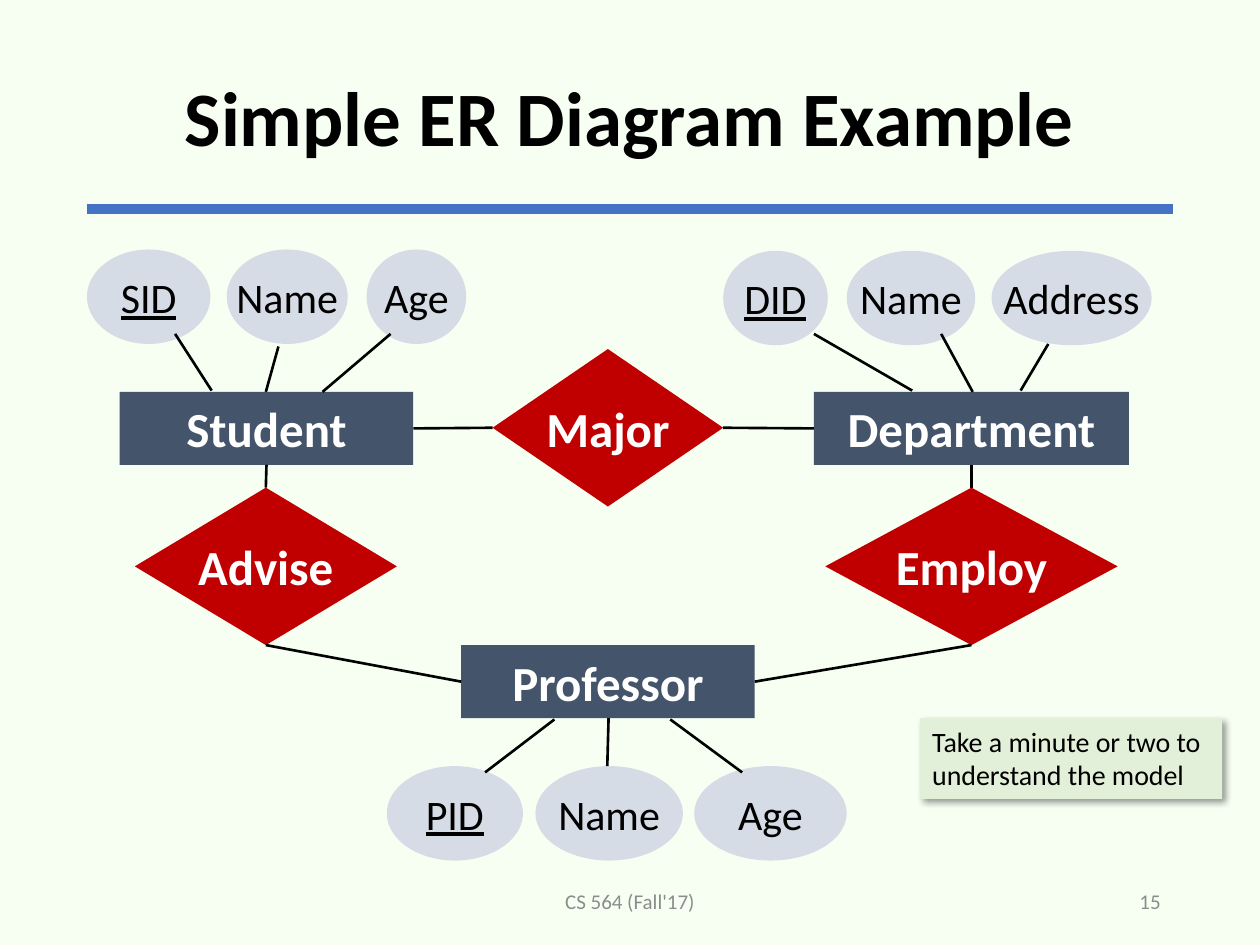
from lxml import etree
from pptx import Presentation
from pptx.dml.color import RGBColor
from pptx.enum.shapes import MSO_CONNECTOR, MSO_SHAPE
from pptx.enum.text import MSO_ANCHOR, PP_ALIGN
from pptx.oxml.ns import qn
from pptx.util import Inches, Pt

RECT, OVAL, DIAMOND = MSO_SHAPE.RECTANGLE, MSO_SHAPE.OVAL, MSO_SHAPE.DIAMOND
STRAIGHT = MSO_CONNECTOR.STRAIGHT
LEFT, CENTER, RIGHT = PP_ALIGN.LEFT, PP_ALIGN.CENTER, PP_ALIGN.RIGHT
TOP, MIDDLE = MSO_ANCHOR.TOP, MSO_ANCHOR.MIDDLE
SITES = {"top": 0, "left": 1, "bottom": 2, "right": 3}

THEME = {
    "font": "Calibri", "back": "F7FFF3", "rule": "4472C4", "ink": "000000",
    "entity": "44546A", "relation": "C00000", "attribute": "D6DCE5",
    "note": "E2F0D9", "light": "FFFFFF", "muted": "8C8C8C",
    "title_pt": 44, "node_pt": 28, "attr_pt": 24, "note_pt": 16, "foot_pt": 12,
}

TITLE = "Simple ER Diagram Example"
NOTE = "Take a minute or two to understand the model"
FOOTER = [("CS 564 (Fall'17)", 3.31, 3.38, CENTER), ("15", 7.06, 2.25, RIGHT)]

# name: left, top, width
ENTITIES = {
    "Student": (0.95, 3.11, 2.33),
    "Department": (6.46, 3.11, 2.5),
    "Professor": (3.66, 5.12, 2.33),
}
RELATIONS = {
    "Major": (3.91, 2.77, 1.83),
    "Advise": (1.07, 3.87, 2.08),
    "Employ": (6.55, 3.87, 2.32),
}
ENTITY_H, RELATION_H, ATTR_H = 0.58, 1.25, 0.75

# top of each row, then name, left, width, line start and end; the key is first
ATTRIBUTES = [
    (1.98, [("SID", 0.69, 0.98, (1.39, 2.65), (1.68, 3.1)),
            ("Name", 1.8, 0.96, (2.21, 2.75), (2.11, 3.11)),
            ("Age", 2.91, 0.79, (3.1, 2.65), (2.56, 3.11))]),
    (1.99, [("DID", 5.74, 0.83, (6.46, 2.65), (7.24, 3.1)),
            ("Name", 6.72, 1.02, (7.47, 2.65), (7.72, 3.11)),
            ("Address", 7.87, 1.27, (8.32, 2.73), (8.1, 3.1))]),
    (6.08, [("PID", 3.07, 1.08, (3.85, 6.13), (4.4, 5.71)),
            ("Name", 4.25, 1.17, (4.82, 6.08), (4.83, 5.7)),
            ("Age", 5.51, 1.21, (5.89, 6.13), (5.32, 5.71))]),
]
LINKS = [
    ("Student", "right", "Major", "left"),
    ("Department", "left", "Major", "right"),
    ("Student", "bottom", "Advise", "top"),
    ("Department", "bottom", "Employ", "top"),
    ("Professor", "left", "Advise", "bottom"),
    ("Professor", "right", "Employ", "bottom"),
]


def color(name):
    return RGBColor.from_string(THEME[name])


def write(shape, text, size, ink="ink", bold=False, align=CENTER,
          anchor=MIDDLE, wrap=True):
    frame = shape.text_frame
    frame.text = text
    frame.word_wrap = wrap
    frame.vertical_anchor = anchor
    para = frame.paragraphs[0]
    para.alignment = align
    font = para.runs[0].font
    font.name, font.size, font.bold = THEME["font"], Pt(THEME[size]), bold
    font.color.rgb = color(ink)
    return para


def block(slide, kind, box, fill):
    shape = slide.shapes.add_shape(kind, *map(Inches, box))
    shape.shadow.inherit = False
    shape.fill.solid()
    shape.fill.fore_color.rgb = color(fill)
    shape.line.fill.background()
    return shape


def join(slide, start=(0, 0), end=(0, 0), ink="ink", width=1.5):
    line = slide.shapes.add_connector(STRAIGHT, *map(Inches, start + end))
    line.line.color.rgb = color(ink)
    line.line.width = Pt(width)
    etree.SubElement(line._element.spPr, qn("a:effectLst"))
    return line


def drop_shadow(shape):
    effects = shape._element.spPr.find(qn("a:effectLst"))
    outer = etree.SubElement(effects, qn("a:outerShdw"), blurRad=str(Pt(4)),
                             dist=str(Pt(3)), dir="2700000", algn="tl")
    tint = etree.SubElement(outer, qn("a:srgbClr"), val=THEME["ink"])
    etree.SubElement(tint, qn("a:alpha"), val="40000")


def frame_slide(slide):
    slide.background.fill.solid()
    slide.background.fill.fore_color.rgb = color("back")
    join(slide, (0.69, 1.66), (9.31, 1.66), "rule", 6)
    title = slide.shapes.title
    title.left, title.top = Inches(0.69), Inches(0.24)
    title.width, title.height = Inches(8.62), Inches(1.45)
    write(title, TITLE, "title_pt", bold=True).line_spacing = 0.9
    for text, left, width, align in FOOTER:
        box = slide.shapes.add_textbox(*map(Inches, (left, 6.95, width, 0.4)))
        write(box, text, "foot_pt", "muted", align=align)


def draw_model(slide):
    nodes = {}
    for group, kind, height, fill in (
            (ENTITIES, RECT, ENTITY_H, "entity"),
            (RELATIONS, DIAMOND, RELATION_H, "relation")):
        for name, place in group.items():
            nodes[name] = block(slide, kind, place + (height,), fill)
            write(nodes[name], name, "node_pt", "light", True, wrap=False)
    for top, row in ATTRIBUTES:
        for i, (name, left, width, start, end) in enumerate(row):
            oval = block(slide, OVAL, (left, top, width, ATTR_H), "attribute")
            para = write(oval, name, "attr_pt", wrap=False)
            if i == 0:
                para.runs[0].font.underline = True
            join(slide, start, end)
    for first, side, second, other in LINKS:
        line = join(slide)
        line.begin_connect(nodes[first], SITES[side])
        line.end_connect(nodes[second], SITES[other])


def main():
    deck = Presentation()
    deck.slide_width, deck.slide_height = Inches(10), Inches(7.5)
    slide = deck.slides.add_slide(deck.slide_layouts[5])
    frame_slide(slide)
    draw_model(slide)
    note = block(slide, RECT, (7.3, 5.7, 2.4, 0.64), "note")
    drop_shadow(note)
    write(note, NOTE, "note_pt", align=LEFT, anchor=TOP)
    deck.save("out.pptx")


if __name__ == "__main__":
    main()
